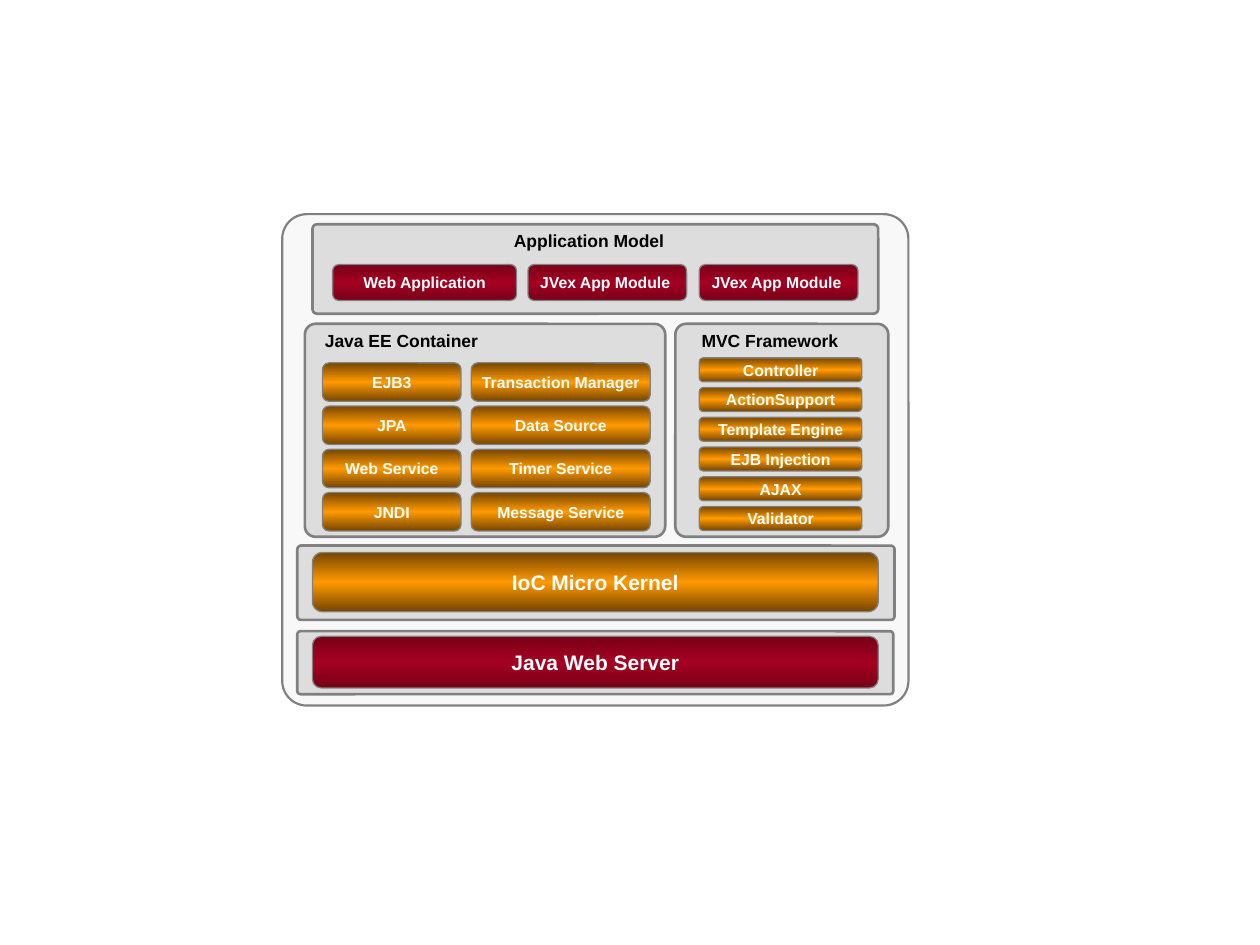
from collections import namedtuple
from copy import deepcopy

from pptx import Presentation
from pptx.dml.color import RGBColor
from pptx.enum.shapes import MSO_SHAPE
from pptx.enum.text import MSO_ANCHOR, MSO_AUTO_SIZE, PP_ALIGN
from pptx.oxml.ns import qn
from pptx.util import Inches, Pt

ROUNDED = MSO_SHAPE.ROUNDED_RECTANGLE
MIDDLE = MSO_ANCHOR.MIDDLE
GROW = MSO_AUTO_SIZE.SHAPE_TO_FIT_TEXT
LEFT, CENTER = PP_ALIGN.LEFT, PP_ALIGN.CENTER

PAGE_WIDTH, PAGE_HEIGHT = Inches(10), Inches(7.5)
COLUMNS, ROWS = 1000, 750
FONT = "Arial"
COLORS = {
    "frame": "F8F8F8",
    "panel": "DDDDDD",
    "border": "808080",
    "title": "000000",
    "label": "FFFFFF",
    "orange": "FF9900",
    "orange_edge": "754600",
    "red": "A50021",
    "red_edge": "770017",
}


class Box(namedtuple("Box", "column row columns rows")):
    """A rectangle on the page grid."""

    def inner(self, column, row, columns, rows):
        """Return a box placed relative to this one."""
        return Box(self.column + column, self.row + row, columns, rows)

    def lengths(self):
        """Return left, top, width and height for a shape."""
        across, down = PAGE_WIDTH / COLUMNS, PAGE_HEIGHT / ROWS
        return (round(self.column * across), round(self.row * down),
                round(self.columns * across), round(self.rows * down))


def color(name):
    """Return the named colour."""
    return RGBColor.from_string(COLORS[name])


def write(shape, text, size=9, ink="label", align=CENTER):
    """Write one bold unwrapped line of text in a shape."""
    frame = shape.text_frame
    frame.word_wrap = False
    para = frame.paragraphs[0]
    para.alignment = align
    span = para.add_run()
    span.text = text
    span.font.name, span.font.size, span.font.bold = FONT, Pt(size), True
    span.font.color.rgb = color(ink)


def add_rounded(page, box, corner, line_width):
    """Add a grey-bordered rounded rectangle."""
    shape = page.shapes.add_shape(ROUNDED, *box.lengths())
    shape.shadow.inherit = False
    shape.adjustments[0] = corner
    shape.line.color.rgb = color("border")
    shape.line.width = Pt(line_width)
    return shape


def add_panel(page, box, fill="panel", line_width=1.5):
    """Add a plain background panel."""
    shape = add_rounded(page, box, 0.05, line_width)
    shape.fill.solid()
    shape.fill.fore_color.rgb = color(fill)


def add_bar(page, box, text, hue="orange", size=9):
    """Add a labelled bar that is bright in the middle and dark at both edges."""
    shape = add_rounded(page, box, 0.17, 0.75)
    shape.fill.gradient()
    shape.fill.gradient_angle = 90
    stop_list = next(shape.element.iter(qn("a:gsLst")))
    stop_list.append(deepcopy(stop_list[-1]))
    shades = (f"{hue}_edge", hue, f"{hue}_edge")
    for index, (stop, shade) in enumerate(zip(shape.fill.gradient_stops, shades)):
        stop.position = index / 2
        stop.color.rgb = color(shade)
    shape.text_frame.vertical_anchor = MIDDLE
    write(shape, text, size=size)


def add_title(page, box, text, align=LEFT):
    """Add a panel title that stays on one line."""
    shape = page.shapes.add_textbox(*box.lengths())
    shape.text_frame.auto_size = GROW
    write(shape, text, size=10, ink="title", align=align)


def draw_application(page, box):
    """Draw the application model with its row of modules."""
    add_panel(page, box)
    add_title(page, box.inner(150, 0, 142, 27), "Application Model")
    modules = [(16, 146, "Web Application"), (171, 126, "JVex App Module "),
               (307, 126, "JVex App Module ")]
    for column, columns, text in modules:
        add_bar(page, box.inner(column, 32, columns, 28.5), text, hue="red")


def draw_container(page, box):
    """Draw the container with its two columns of services."""
    add_panel(page, box)
    add_title(page, box.inner(6, 0, 143, 27), "Java EE Container")
    stacks = [
        (14, 110, ["EJB3", "JPA", "Web Service", "JNDI"]),
        (132, 142, ["Transaction Manager", "Data Source", "Timer Service", "Message Service"]),
    ]
    for column, columns, services in stacks:
        for index, text in enumerate(services):
            add_bar(page, box.inner(column, 31 + 34.3 * index, columns, 30.5), text)


def draw_framework(page, box):
    """Draw the framework with its stack of parts."""
    add_panel(page, box)
    add_title(page, box.inner(10, 0, 130, 27), "MVC Framework", align=CENTER)
    parts = ["Controller", "ActionSupport", "Template Engine", "EJB Injection",
             "AJAX", "Validator"]
    for index, text in enumerate(parts):
        add_bar(page, box.inner(19, 27 + 23.6 * index, 129, 19), text)


def draw_tier(page, box, text, hue, margin):
    """Draw a full-width tier with one large bar."""
    add_panel(page, box)
    bar = box.inner(12, margin, 449, box.rows - 2 * margin - 1)
    add_bar(page, bar, text, hue=hue, size=12)


def main():
    """Build the architecture slide."""
    deck = Presentation()
    deck.slide_width, deck.slide_height = PAGE_WIDTH, PAGE_HEIGHT
    page = deck.slides.add_slide(deck.slide_layouts[6])
    stack = Box(224, 170, 497, 390)
    add_panel(page, stack, fill="frame", line_width=1.25)
    draw_application(page, stack.inner(24, 8, 449, 71))
    draw_container(page, stack.inner(18, 87, 286, 169))
    draw_framework(page, stack.inner(312, 87, 169, 169))
    draw_tier(page, stack.inner(12, 263, 474, 59), "IoC Micro Kernel", "orange", 5.5)
    draw_tier(page, stack.inner(12, 331, 473, 50), "Java Web Server", "red", 4)
    deck.save("out.pptx")


if __name__ == "__main__":
    main()
